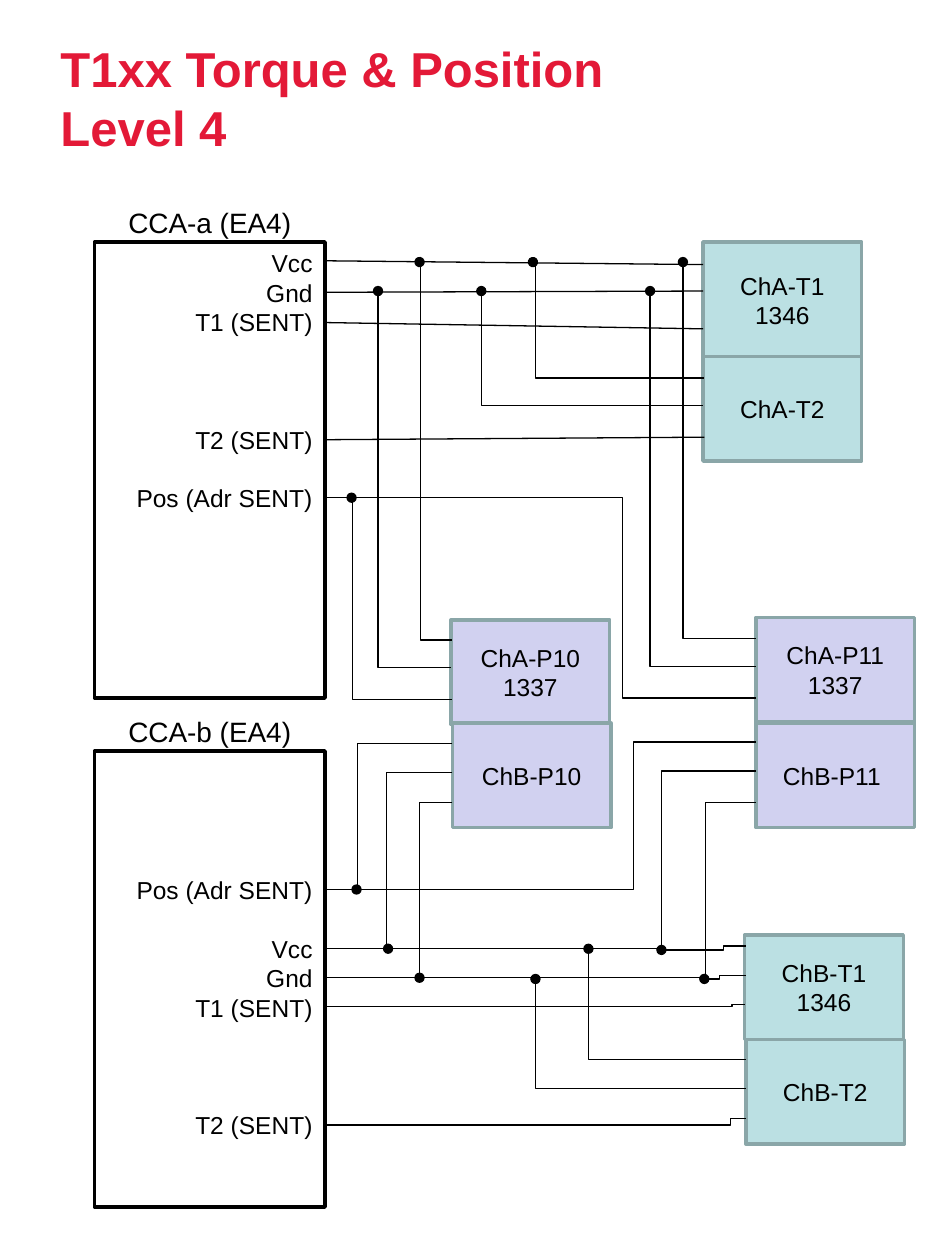
from typing import NamedTuple, Optional

import pptx
import pptx.dml.color
import pptx.enum.shapes
import pptx.enum.text
import pptx.oxml.ns
import pptx.util
from lxml import etree

Inches = pptx.util.Inches
Pt = pptx.util.Pt
RGBColor = pptx.dml.color.RGBColor
Align = pptx.enum.text.PP_ALIGN
Anchor = pptx.enum.text.MSO_ANCHOR
Connector = pptx.enum.shapes.MSO_CONNECTOR
qn = pptx.oxml.ns.qn

RED = RGBColor(0xE3, 0x19, 0x37)
BLACK = RGBColor(0, 0, 0)
WHITE = RGBColor(0xFF, 0xFF, 0xFF)
TEAL = RGBColor(0xBB, 0xE0, 0xE3)
LILAC = RGBColor(0xD1, 0xD1, 0xF0)
SLATE = RGBColor(0x8A, 0xA6, 0xA8)

LABEL_FONT = {"name": "Arial", "size": Pt(14), "bold": False}
HEADING_FONT = {**LABEL_FONT, "size": Pt(16)}
TITLE_FONT = {"name": "Arial", "size": Pt(28), "bold": True}
ROW_PITCH = 16.8  # points from one pin row to the next
CHANNEL_WIDTH = 1.26


class Pin(NamedTuple):
    label: str
    row: int


class Card(NamedTuple):
    heading: str
    top: float
    pins: list[Pin]


class Channel(NamedTuple):
    label: str
    left: float
    top: float
    height: float
    fill: RGBColor


class Wire(NamedTuple):
    """A wire from start to end; bend_x is where its upright part stands."""
    start: tuple[float, float]
    end: tuple[float, float]
    bend_x: Optional[float] = None
    dot: bool = False


CARDS = [
    Card("CCA-a (EA4)", 1.92, [Pin("Vcc", 0), Pin("Gnd", 1), Pin("T1 (SENT)", 2),
                               Pin("T2 (SENT)", 6), Pin("Pos (Adr SENT)", 8)]),
    Card("CCA-b (EA4)", 5.96, [Pin("Pos (Adr SENT)", 4), Pin("Vcc", 6), Pin("Gnd", 7),
                               Pin("T1 (SENT)", 8), Pin("T2 (SENT)", 12)]),
]

CHANNELS = [
    Channel("ChA-T1 1346", 5.58, 1.92, 0.92, TEAL),
    Channel("ChA-T2", 5.58, 2.83, 0.83, TEAL),
    Channel("ChA-P10 1337", 3.58, 4.92, 0.83, LILAC),
    Channel("ChB-P10", 3.59, 5.74, 0.83, LILAC),
    Channel("ChA-P11 1337", 6, 4.9, 0.83, LILAC),
    Channel("ChB-P11 ", 6, 5.74, 0.83, LILAC),
    Channel("ChB-T1 1346", 5.91, 7.42, 0.83, TEAL),
    Channel("ChB-T2", 5.92, 8.25, 0.83, TEAL),
]

WIRES = [
    # CCA-a to the ChA torque channels
    Wire((2.58, 2.07), (5.58, 2.1)),
    Wire((2.59, 2.32), (5.58, 2.31)),
    Wire((2.58, 2.56), (5.58, 2.61)),
    Wire((2.58, 3.49), (5.59, 3.47)),
    Wire((4.23, 2.08), (5.59, 3), 4.25, dot=True),
    Wire((3.82, 2.31), (5.58, 3.22), 3.82, dot=True),
    # CCA-a to the ChA position channels
    Wire((2.58, 3.95), (3.59, 5.55), 2.8),
    Wire((3.33, 2.08), (3.59, 5.08), 3.34, dot=True),
    Wire((3, 2.31), (3.58, 5.3), 3, dot=True),
    Wire((2.79, 3.95), (6, 5.54), 4.94, dot=True),
    Wire((5.42, 2.08), (6, 5.07), 5.42, dot=True),
    Wire((5.16, 2.31), (6, 5.29), 5.16, dot=True),
    # CCA-b to the ChB position channels
    Wire((3.59, 5.9), (2.59, 7.06), 2.84),
    Wire((3.59, 6.13), (2.59, 7.53), 3.07),
    Wire((3.59, 6.37), (2.58, 7.76), 3.33),
    Wire((2.83, 7.06), (6, 5.89), 5.03, dot=True),
    Wire((3.08, 7.53), (6, 6.12), 5.25, dot=True),
    Wire((3.33, 7.76), (6, 6.37), 5.6, dot=True),
    # CCA-b to the ChB torque channels
    Wire((5.25, 7.54), (5.92, 7.51), 5.74, dot=True),
    Wire((5.59, 7.77), (5.92, 7.74), 5.71, dot=True),
    Wire((2.58, 7.99), (5.91, 7.97), 5.81),
    Wire((2.58, 8.93), (5.92, 8.88), 5.8),
    Wire((4.67, 7.53), (5.92, 8.41), 4.67, dot=True),
    Wire((4.25, 7.77), (5.92, 8.64), 4.25, dot=True),
]


def write(paragraph, text: str, align: Align, font: dict, color: RGBColor = BLACK) -> None:
    paragraph.text = text
    paragraph.alignment = align
    for attribute, value in font.items():
        setattr(paragraph.font, attribute, value)
    paragraph.font.color.rgb = color


def add_box(slide, left: float, top: float, width: float, height: float,
            fill: RGBColor, outline: RGBColor, anchor: Anchor):
    box = slide.shapes.add_shape(pptx.enum.shapes.MSO_SHAPE.RECTANGLE, Inches(left),
                                 Inches(top), Inches(width), Inches(height))
    box.shadow.inherit = False
    box.fill.solid()
    box.fill.fore_color.rgb = fill
    box.line.color.rgb = outline
    box.line.width = Pt(2)
    box.text_frame.word_wrap = True
    box.text_frame.vertical_anchor = anchor
    return box


def add_card(slide, card: Card) -> None:
    pins = add_box(slide, 0.75, card.top, 1.83, 3.62, WHITE, BLACK, Anchor.TOP).text_frame
    pins.margin_top = Inches(0.05) + Pt(ROW_PITCH * card.pins[0].row)
    for index, pin in enumerate(card.pins):
        line = pins.add_paragraph() if index else pins.paragraphs[0]
        write(line, pin.label, Align.RIGHT, LABEL_FONT)
        if index:
            skipped_rows = pin.row - card.pins[index - 1].row - 1
            line.space_before = Pt(ROW_PITCH * skipped_rows)

    heading = slide.shapes.add_textbox(Inches(0.75), Inches(card.top - 0.34),
                                       Inches(1.83), Inches(0.37)).text_frame
    heading.word_wrap = True
    write(heading.paragraphs[0], card.heading, Align.CENTER, HEADING_FONT)


def add_channel(slide, channel: Channel) -> None:
    box = add_box(slide, channel.left, channel.top, CHANNEL_WIDTH, channel.height,
                  channel.fill, SLATE, Anchor.MIDDLE)
    write(box.text_frame.paragraphs[0], channel.label, Align.CENTER, LABEL_FONT)


def add_wire(slide, wire: Wire) -> None:
    kind = Connector.STRAIGHT if wire.bend_x is None else Connector.ELBOW
    line = slide.shapes.add_connector(kind, *map(Inches, wire.start + wire.end))
    line.line.color.rgb = BLACK
    line.line.width = Pt(0.75)
    properties = line.element.spPr
    etree.SubElement(properties, qn("a:effectLst"))
    if wire.bend_x is not None:
        share = (wire.bend_x - wire.start[0]) / (wire.end[0] - wire.start[0])
        guides = properties.find(qn("a:prstGeom")).get_or_add_avLst()
        etree.SubElement(guides, qn("a:gd"), name="adj1", fmla=f"val {round(share * 100000)}")
    if wire.dot:
        etree.SubElement(properties.find(qn("a:ln")), qn("a:headEnd"), type="oval")


def main() -> None:
    deck = pptx.Presentation()
    deck.slide_width, deck.slide_height = Inches(7.5), Inches(10)
    slide = deck.slides.add_slide(deck.slide_layouts[5])

    title = slide.shapes.title
    title.left, title.top, title.width, title.height = map(Inches, (0.38, 0.11, 4.88, 1.33))
    title.text_frame.vertical_anchor = Anchor.MIDDLE
    title.text_frame.auto_size = pptx.enum.text.MSO_AUTO_SIZE.NONE
    write(title.text_frame.paragraphs[0], "T1xx Torque & Position Level 4",
          Align.LEFT, TITLE_FONT, RED)

    for card in CARDS:
        add_card(slide, card)
    for channel in CHANNELS:
        add_channel(slide, channel)
    for wire in WIRES:
        add_wire(slide, wire)
    deck.save("out.pptx")


if __name__ == "__main__":
    main()
